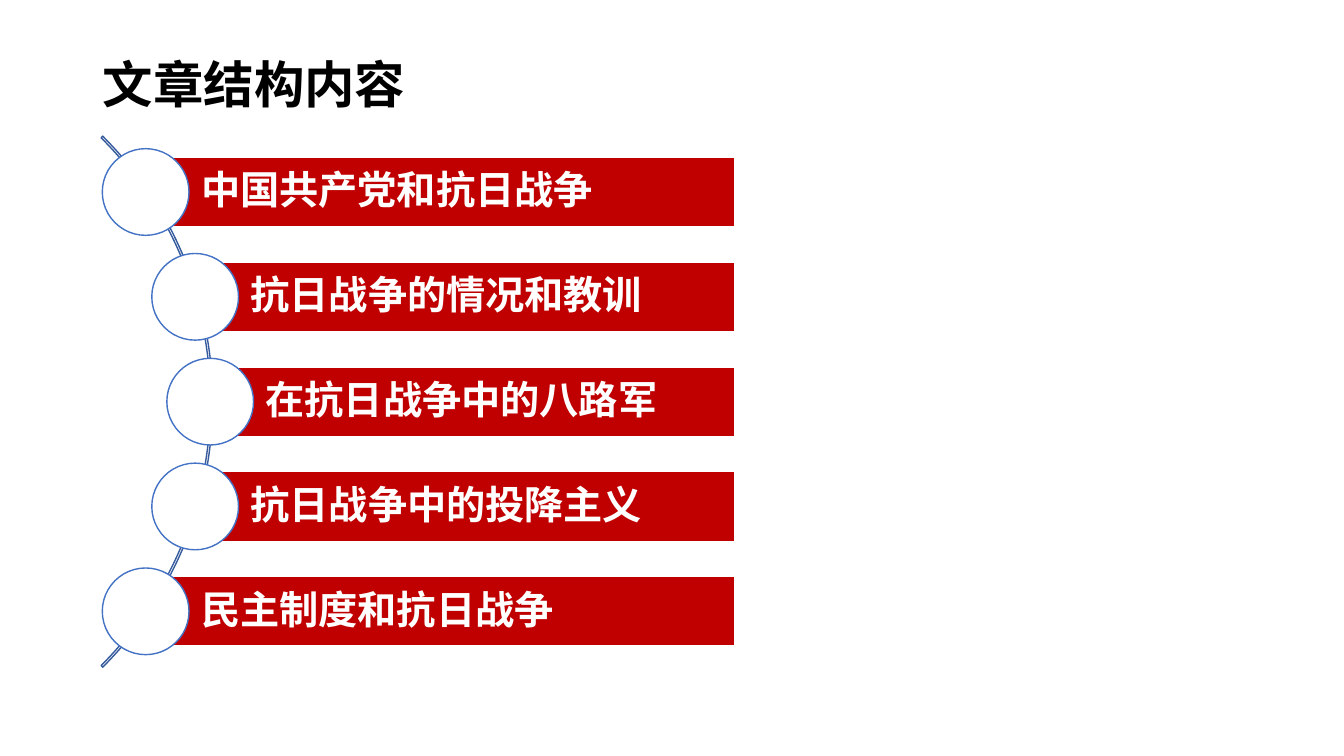
import math
from dataclasses import dataclass

import pptx
import pptx.dml.color
import pptx.enum.shapes
import pptx.enum.text
import pptx.oxml
import pptx.oxml.ns
import pptx.util
from pptx.util import Inches

FONT = "Noto Sans CJK SC"
WHITE = "FFFFFF"
RED = "C00000"
CIRCLE_BLUE = "4472C4"
ARC_BLUE = "365B9D"

ARC_LEFT, ARC_TOP, ARC_SIZE = -5.34, 0.26, 7.45
ARC_CENTER_X = ARC_LEFT + ARC_SIZE / 2
ARC_CENTER_Y = ARC_TOP + ARC_SIZE / 2
TRACK_RADIUS = 3.7
ROW_PITCH = 1.04
BAR_RIGHT, BAR_HEIGHT = 7.29, 0.69
CIRCLE_SIZE = 0.86

Preset = pptx.enum.shapes.MSO_SHAPE


@dataclass(frozen=True)
class Section:
    heading: str
    row: int  # rows below the middle of the arc

    @property
    def center_x(self) -> float:
        return ARC_CENTER_X + math.sqrt(TRACK_RADIUS**2 - (self.row * ROW_PITCH) ** 2)

    @property
    def center_y(self) -> float:
        return ARC_CENTER_Y + self.row * ROW_PITCH


SECTIONS = [
    Section("中国共产党和抗日战争", -2),
    Section("抗日战争的情况和教训", -1),
    Section("在抗日战争中的八路军", 0),
    Section("抗日战争中的投降主义", 1),
    Section("民主制度和抗日战争", 2),
]


def rgb(value: str) -> pptx.dml.color.RGBColor:
    return pptx.dml.color.RGBColor.from_string(value)


def write_text(frame, text: str, size: float, color: str) -> None:
    frame.word_wrap = True
    frame.auto_size = pptx.enum.text.MSO_AUTO_SIZE.NONE
    frame.vertical_anchor = pptx.enum.text.MSO_ANCHOR.MIDDLE
    frame.text = text
    paragraph = frame.paragraphs[0]
    paragraph.alignment = pptx.enum.text.PP_ALIGN.LEFT
    paragraph.line_spacing = 0.9
    # East Asian glyphs take their typeface from a:ea on the run.
    for font in (paragraph.font, paragraph.runs[0].font):
        font.name = FONT
        font.size = pptx.util.Pt(size)
        font.bold = True
        font.color.rgb = rgb(color)
    properties = paragraph.runs[0].font._element if hasattr(
        paragraph.runs[0].font, "_element") else paragraph.runs[0]._r.get_or_add_rPr()
    east_asian = pptx.oxml.parse_xml(
        f'<a:ea {pptx.oxml.ns.nsdecls("a")} typeface="{FONT}"/>')
    properties.find(pptx.oxml.ns.qn("a:latin")).addnext(east_asian)


def add_outlined(slide, preset, left: float, top: float, width: float,
                 height: float, fill: str | None, line: str):
    shape = slide.shapes.add_shape(
        preset, Inches(left), Inches(top), Inches(width), Inches(height))
    shape.shadow.inherit = False
    if fill:
        shape.fill.solid()
        shape.fill.fore_color.rgb = rgb(fill)
    else:
        shape.fill.background()
    shape.line.color.rgb = rgb(line)
    shape.line.width = pptx.util.Pt(1)
    return shape


def add_title(slide, text: str) -> None:
    title = slide.shapes.title
    title.left, title.top = Inches(0.92), Inches(0.51)
    title.width, title.height = Inches(11.5), Inches(0.71)
    write_text(title.text_frame, text, 36, "000000")


def add_arc(slide) -> None:
    arc = add_outlined(slide, Preset.BLOCK_ARC, ARC_LEFT, ARC_TOP,
                       ARC_SIZE, ARC_SIZE, None, ARC_BLUE)
    for index, value in enumerate((189, 27, 0.003)):
        arc.adjustments[index] = value


def add_section(slide, section: Section) -> None:
    x, y = section.center_x, section.center_y
    bar = add_outlined(slide, Preset.RECTANGLE, x, y - BAR_HEIGHT / 2,
                       BAR_RIGHT - x, BAR_HEIGHT, RED, WHITE)
    frame = bar.text_frame
    frame.margin_left = Inches(0.55)
    frame.margin_top = frame.margin_right = frame.margin_bottom = Inches(0.08)
    write_text(frame, section.heading, 28, WHITE)
    add_outlined(slide, Preset.OVAL, x - CIRCLE_SIZE / 2, y - CIRCLE_SIZE / 2,
                 CIRCLE_SIZE, CIRCLE_SIZE, WHITE, CIRCLE_BLUE)


def main() -> None:
    presentation = pptx.Presentation()
    presentation.slide_width = Inches(13.33)
    presentation.slide_height = Inches(7.5)
    title_only = presentation.slide_layouts[5]
    slide = presentation.slides.add_slide(title_only)
    add_title(slide, "文章结构内容")
    add_arc(slide)
    for section in SECTIONS:
        add_section(slide, section)
    presentation.save("out.pptx")


if __name__ == "__main__":
    main()
